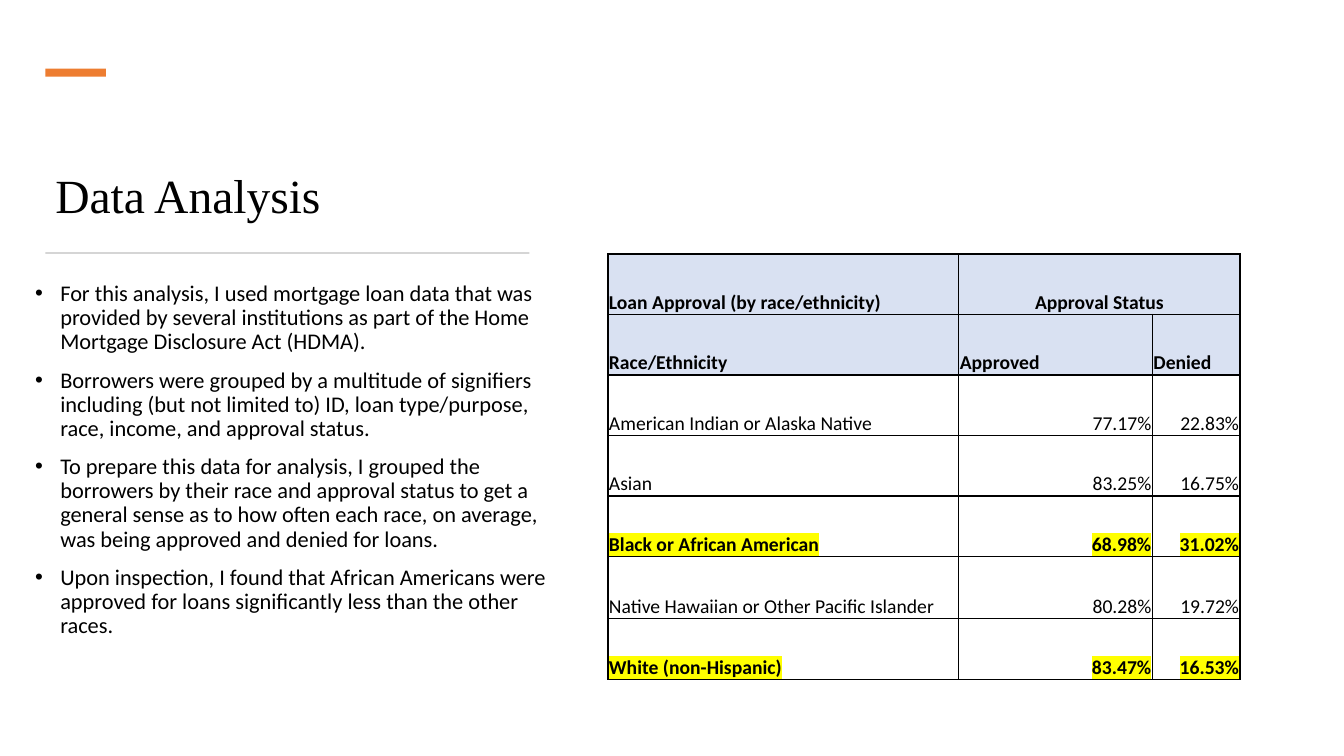
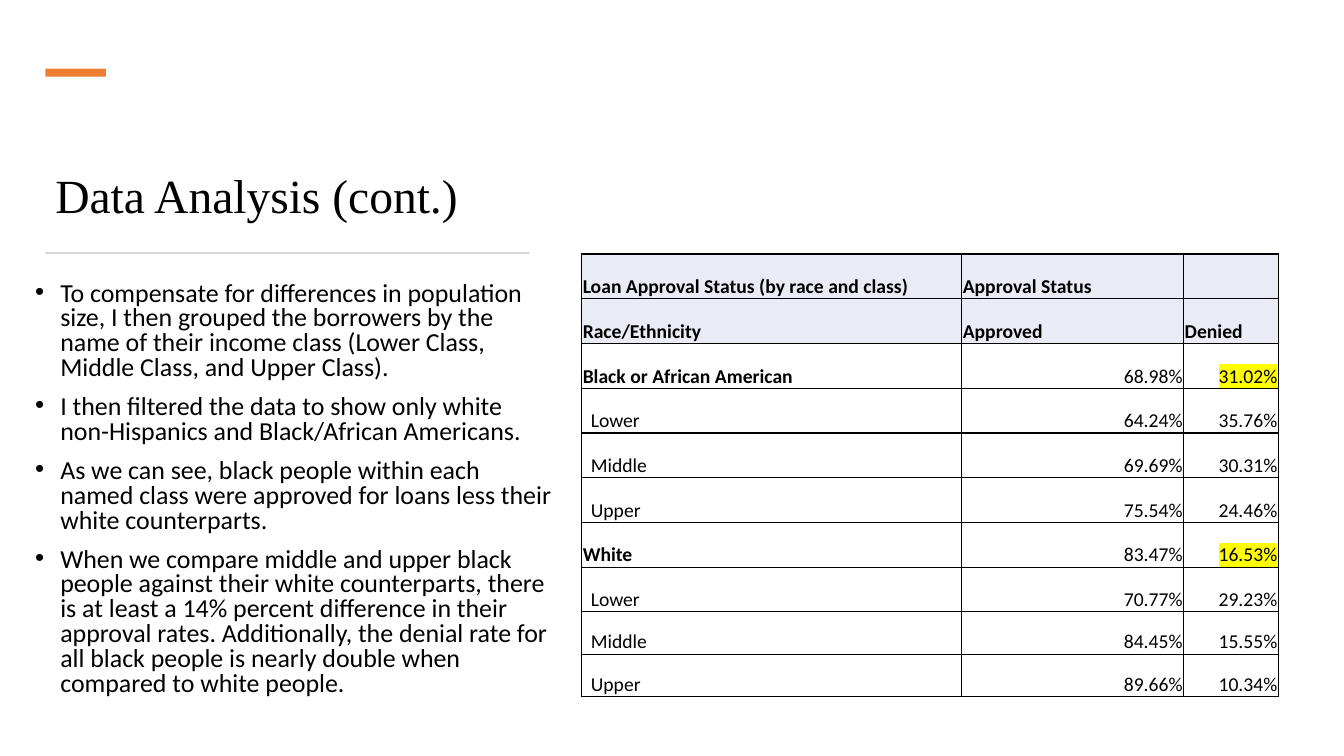
from collections import namedtuple

from lxml.etree import SubElement
from pptx import Presentation
from pptx.dml.color import RGBColor
from pptx.enum.shapes import MSO_SHAPE
from pptx.enum.text import MSO_ANCHOR, PP_ALIGN
from pptx.oxml import parse_xml
from pptx.oxml.ns import nsdecls, qn
from pptx.util import Inches, Pt

# Colours and fonts
BLACK = RGBColor(0x00, 0x00, 0x00)
WHITE = RGBColor(0xFF, 0xFF, 0xFF)
ORANGE = RGBColor(0xED, 0x7D, 0x31)
GREY = RGBColor(0xD5, 0xD5, 0xD5)
YELLOW = RGBColor(0xFF, 0xFF, 0x00)
BLUE_HEADER = RGBColor(0xD9, 0xE1, 0xF2)
PALE_HEADER = RGBColor(0xE9, 0xEB, 0xF5)
TITLE_FONT, BODY_FONT = "Times New Roman", "Calibri"

# Grid: ten columns or rows to the inch
GRID = Inches(0.1)
LEFT, HEADER_ROWS = 4.5, 2

Cell = namedtuple("Cell", "text bold marked inset", defaults=(False, False, 0.1))


def grid(*lengths):
    return [round(n * GRID) for n in lengths]


def strong(text):
    return Cell(text, bold=True)


def marked(text, bold=False):
    return Cell(text, bold=bold, marked=True)


def class_rows(lower, middle, upper):
    names = ("Lower", "Middle", "Upper")
    return [(Cell(name, inset=0.9), *rates)
            for name, rates in zip(names, (lower, middle, upper))]


class Deck:
    def __init__(self):
        self.prs = Presentation()
        self.prs.slide_width, self.prs.slide_height = Inches(13.33), Inches(7.5)
        self.s = None

    def add_slide(self, title):
        self.s = self.prs.slides.add_slide(self.prs.slide_layouts[6])
        tf = self.text_box(LEFT, 10.8, 48.6, 11.9)
        tf.vertical_anchor = MSO_ANCHOR.BOTTOM
        p = tf.paragraphs[0]
        p.line_spacing = 0.9
        self.run(p, title, 34, TITLE_FONT)
        self.bar(LEFT, 6.8, 6, 0.8, ORANGE)
        self.bar(LEFT, 25, 48, 0.2, GREY)

    def text_box(self, *box):
        tf = self.s.shapes.add_textbox(*grid(*box)).text_frame
        tf.word_wrap = True
        return tf

    def bar(self, x, y, w, h, color):
        sp = self.s.shapes.add_shape(MSO_SHAPE.RECTANGLE, *grid(x, y, w, h))
        sp.shadow.inherit = False
        sp.fill.solid()
        sp.fill.fore_color.rgb = color
        sp.line.fill.background()

    def run(self, p, text, size, font=BODY_FONT, bold=False, highlight=None):
        r = p.add_run()
        r.text = text
        r.font.size, r.font.name, r.font.bold = Pt(size), font, bold
        r.font.color.rgb = BLACK
        if highlight is not None:
            mark = parse_xml(f'<a:highlight {nsdecls("a")}>'
                             f'<a:srgbClr val="{highlight}"/></a:highlight>')
            r.font._element.find(qn("a:solidFill")).addnext(mark)

    def bullets(self, items, size, spacing):
        tf = self.text_box(2.5, 27.5, 53.3, 43.9)
        for i, item in enumerate(items):
            p = tf.add_paragraph() if i else tf.paragraphs[0]
            p.line_spacing, p.space_before = spacing, Pt(10)
            pPr = p._p.get_or_add_pPr()
            pPr.set("marL", str(Inches(0.25)))
            pPr.set("indent", str(-Inches(0.25)))
            SubElement(pPr, qn("a:buFont"), typeface="Arial")
            SubElement(pPr, qn("a:buChar"), char="•")
            self.run(p, item, size)

    def table(self, x, y, cols, heights, rows, header_color):
        frame = self.s.shapes.add_table(
            len(rows), len(cols), *grid(x, y, sum(cols), sum(heights)))
        tbl = frame.table
        tbl.first_row = tbl.horz_banding = False
        for col, width in zip(tbl.columns, grid(*cols)):
            col.width = width
        for row, height in zip(tbl.rows, grid(*heights)):
            row.height = height
        for i, row in enumerate(rows):
            for j, item in enumerate(row):
                self.cell(tbl.cell(i, j), item, i < HEADER_ROWS, j, header_color)
        return tbl

    def cell(self, cell, item, header, col, header_color):
        item = item if isinstance(item, Cell) else Cell(item)
        cell.vertical_anchor = MSO_ANCHOR.BOTTOM
        (cell.margin_left, cell.margin_top, cell.margin_right,
         cell.margin_bottom) = grid(item.inset, 0.1, 0.1, 0)
        self.borders(cell)
        cell.fill.solid()
        cell.fill.fore_color.rgb = header_color if header else WHITE
        if item.text:
            p = cell.text_frame.paragraphs[0]
            p.alignment = PP_ALIGN.RIGHT if col and not header else PP_ALIGN.LEFT
            self.run(p, item.text, 14, bold=header or item.bold,
                     highlight=YELLOW if item.marked else None)

    def borders(self, cell):
        tcPr = cell._tc.get_or_add_tcPr()
        for side in ("lnL", "lnR", "lnT", "lnB"):
            ln = SubElement(tcPr, qn(f"a:{side}"), w=str(Pt(1)))
            fill = SubElement(ln, qn("a:solidFill"))
            SubElement(fill, qn("a:srgbClr"), val=str(BLACK))


def main():
    deck = Deck()

    # Approval by race
    deck.add_slide("Data Analysis")
    deck.bullets([
        "For this analysis, I used mortgage loan data that was provided by several "
        "institutions as part of the Home Mortgage Disclosure Act (HDMA).",
        "Borrowers were grouped by a multitude of signifiers including (but not "
        "limited to) ID, loan type/purpose, race, income, and approval status.",
        "To prepare this data for analysis, I grouped the borrowers by their race and "
        "approval status to get a general sense as to how often each race, on average, "
        "was being approved and denied for loans.",
        "Upon inspection, I found that African Americans were approved for loans "
        "significantly less than the other races.",
    ], size=16, spacing=0.9)
    tbl = deck.table(60.3, 25.2, (34.8, 19.2, 8.7), [6] * 5 + [6.2, 6], [
        ("Loan Approval (by race/ethnicity)", "Approval Status", ""),
        ("Race/Ethnicity", "Approved", "Denied"),
        ("American Indian or Alaska Native", "77.17%", "22.83%"),
        ("Asian", "83.25%", "16.75%"),
        [marked(t, bold=True) for t in ("Black or African American", "68.98%", "31.02%")],
        ("Native Hawaiian or Other Pacific Islander", "80.28%", "19.72%"),
        [marked(t, bold=True) for t in ("White (non-Hispanic)", "83.47%", "16.53%")],
    ], BLUE_HEADER)
    status = tbl.cell(0, 1)
    status.merge(tbl.cell(0, 2))
    status.text_frame.paragraphs[0].alignment = PP_ALIGN.CENTER

    # Approval by race and class
    deck.add_slide("Data Analysis (cont.)")
    deck.bullets([
        "To compensate for differences in population size, I then grouped the borrowers "
        "by the name of their income class (Lower Class, Middle Class, and Upper Class).",
        "I then filtered the data to show only white non-Hispanics and Black/African "
        "Americans.",
        "As we can see, black people within each named class were approved for loans "
        "less their white counterparts.",
        "When we compare middle and upper black people against their white "
        "counterparts, there is at least a 14% percent difference in their approval "
        "rates. Additionally, the denial rate for all black people is nearly double "
        "when compared to white people.",
    ], size=18.5, spacing=0.8)
    deck.table(57.7, 25.2, (37.7, 22, 9.4), [4.44] * 8 + [4.2] * 2, [
        ("Loan Approval Status (by race and class)", "Approval Status", ""),
        ("Race/Ethnicity", "Approved", "Denied"),
        (strong("Black or African American"), "68.98%", marked("31.02%")),
        *class_rows(("64.24%", "35.76%"), ("69.69%", "30.31%"), ("75.54%", "24.46%")),
        (strong("White"), "83.47%", marked("16.53%")),
        *class_rows(("70.77%", "29.23%"), ("84.45%", "15.55%"), ("89.66%", "10.34%")),
    ], PALE_HEADER)

    deck.prs.save("out.pptx")


if __name__ == "__main__":
    main()
